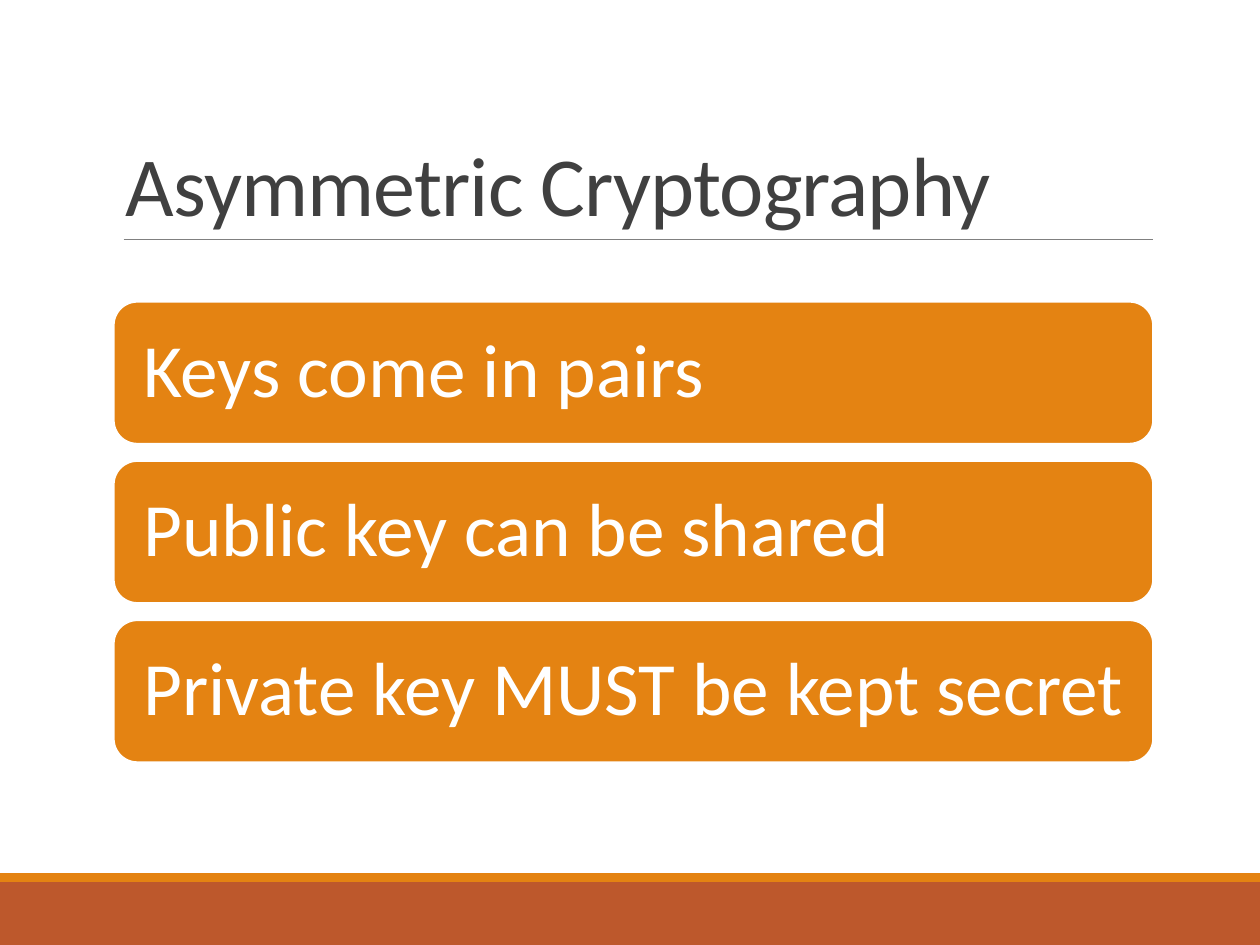
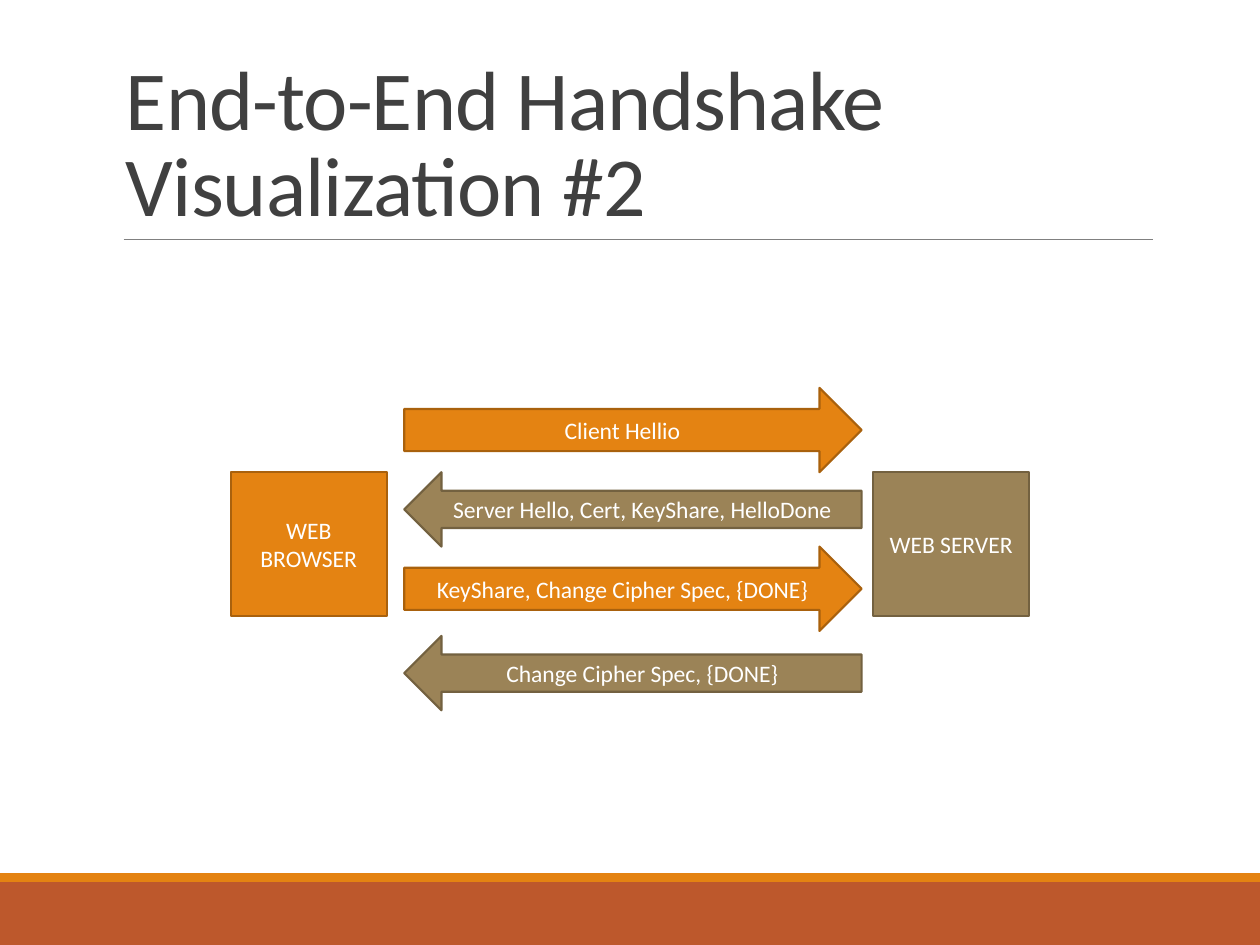
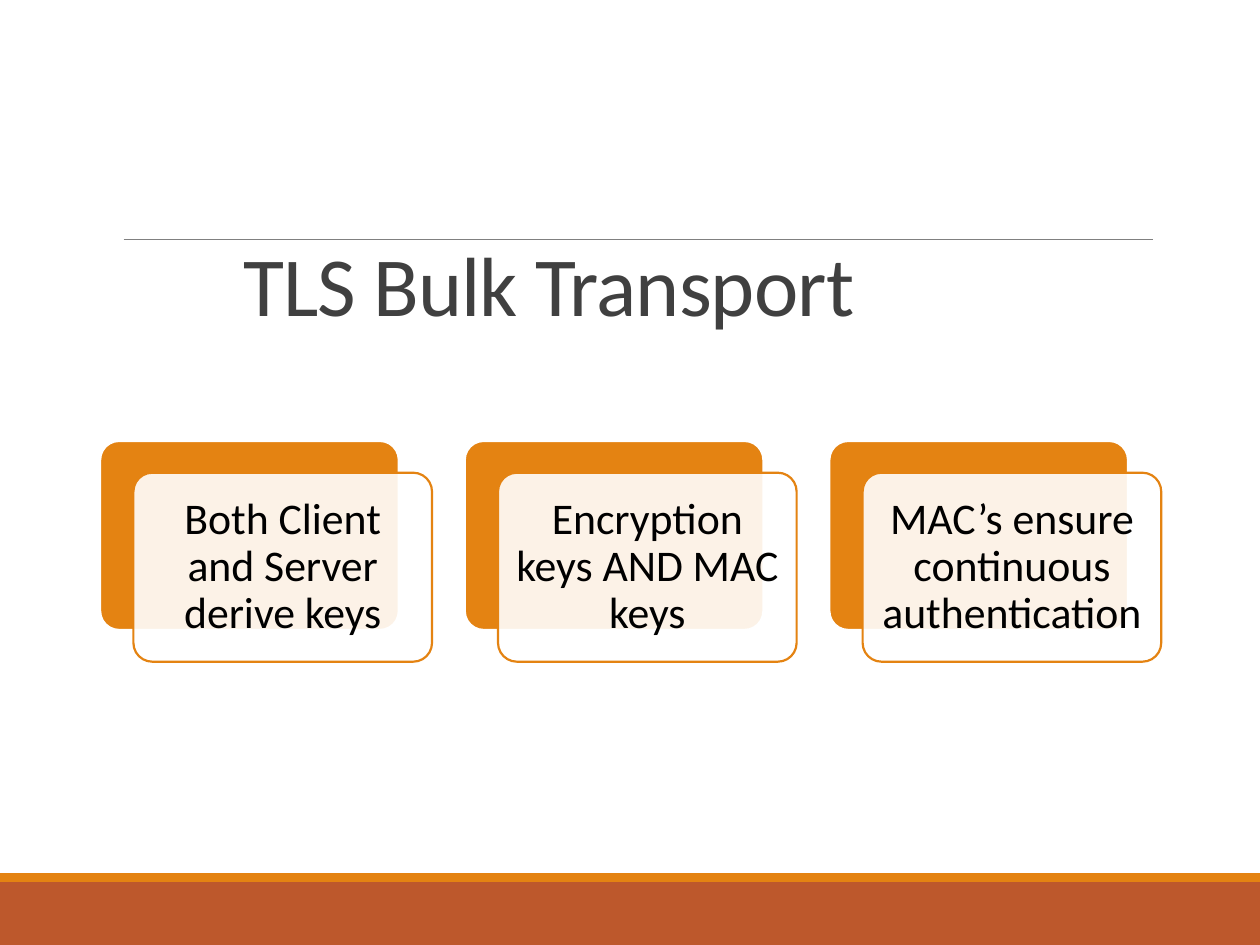
from dataclasses import dataclass

import pptx
import pptx.dml.color
import pptx.enum.shapes
import pptx.enum.text
import pptx.oxml
import pptx.oxml.ns
import pptx.util

Cm = pptx.util.Cm
Pt = pptx.util.Pt
RGBColor = pptx.dml.color.RGBColor
SHAPE = pptx.enum.shapes.MSO_SHAPE
ALIGN = pptx.enum.text.PP_ALIGN
ANCHOR = pptx.enum.text.MSO_ANCHOR

FONT = "Calibri"
ORANGE = RGBColor(0xE4, 0x83, 0x12)
ORANGE_EDGE = RGBColor(0xA9, 0x61, 0x0D)
RUST = RGBColor(0xBD, 0x58, 0x2C)
OLIVE = RGBColor(0x9B, 0x83, 0x57)
OLIVE_EDGE = RGBColor(0x73, 0x61, 0x40)
GREY = RGBColor(0x80, 0x80, 0x80)
CHARCOAL = RGBColor(0x40, 0x40, 0x40)
WHITE = RGBColor(0xFF, 0xFF, 0xFF)
BLACK = RGBColor(0, 0, 0)


@dataclass
class Box:
    """A region of the slide, in centimetres."""
    left: float
    top: float
    width: float
    height: float

    def inner(self, left, top, width, height):
        return Box(self.left + left, self.top + top, width, height)

    def lengths(self):
        return Cm(self.left), Cm(self.top), Cm(self.width), Cm(self.height)


SLIDE = Box(0, 0, 25.4, 19.05)
TITLE = Box(2.29, 0.79, 20.96, 4.04)


# Shared helpers
def add_shape(slide, kind, box, fill, edge=None, corner=None):
    shape = slide.shapes.add_shape(kind, *box.lengths())
    shape.shadow.inherit = False
    shape.fill.solid()
    shape.fill.fore_color.rgb = fill
    if edge is None:
        shape.line.fill.background()
    else:
        shape.line.color.rgb = edge
        shape.line.width = Pt(1.25)
    if corner is not None:
        shape.adjustments[0] = corner
    return shape


def write(shape, text, size, color, align=ALIGN.CENTER, anchor=ANCHOR.MIDDLE,
          spacing=1.0, inset=None):
    frame = shape.text_frame
    frame.word_wrap = True
    frame.vertical_anchor = anchor
    if inset is not None:
        frame.margin_left = frame.margin_right = Cm(inset)
        frame.margin_top = frame.margin_bottom = Cm(inset)
    paragraph = frame.paragraphs[0]
    paragraph.alignment = align
    paragraph.line_spacing = spacing
    run = paragraph.add_run()
    run.text = text
    run.font.name = FONT
    run.font.size = Pt(size)
    run.font.color.rgb = color
    return run


def set_opacity(shape, percent):
    fill = shape._element.spPr.find(pptx.oxml.ns.qn("a:solidFill"))
    fill[0].append(pptx.oxml.parse_xml(
        f'<a:alpha {pptx.oxml.ns.nsdecls("a")} val="{percent * 1000}"/>'))


# Slide frame: footer bands, rule and title
def add_bands(slide, box):
    add_shape(slide, SHAPE.RECTANGLE, box.inner(0, 17.78, box.width, 1.27), RUST)
    add_shape(slide, SHAPE.RECTANGLE, box.inner(0, 17.6, box.width, 0.18), ORANGE)


def add_rule(slide, box):
    left, top, right = Cm(box.left + 2.49), Cm(box.top + 4.83), Cm(box.left + 23.24)
    rule = slide.shapes.add_connector(
        pptx.enum.shapes.MSO_CONNECTOR.STRAIGHT, left, top, right, top)
    rule.line.color.rgb = GREY
    rule.line.width = Pt(0.5)
    rule._element.spPr.append(pptx.oxml.parse_xml(
        f'<a:effectLst {pptx.oxml.ns.nsdecls("a")}/>'))


def add_title(slide, text, box):
    title = slide.shapes.add_textbox(*box.lengths())
    run = write(title, text, 48, CHARCOAL, ALIGN.LEFT, ANCHOR.BOTTOM, 0.85)
    run._r.get_or_add_rPr().set("spc", "-50")


def add_framed_slide(presentation, title, title_box=TITLE):
    slide = presentation.slides.add_slide(presentation.slide_layouts[6])
    add_bands(slide, SLIDE)
    add_rule(slide, SLIDE)
    add_title(slide, title, title_box)
    return slide


# Full-width bars stacked at an equal pitch
def add_bars(slide, box, texts):
    gap = 0.34
    height = (box.height - gap * (len(texts) - 1)) / len(texts)
    for index, text in enumerate(texts):
        bar_box = box.inner(0, index * (height + gap), box.width, height)
        bar = add_shape(slide, SHAPE.ROUNDED_RECTANGLE, bar_box, ORANGE, WHITE)
        write(bar, text, 43, WHITE, ALIGN.LEFT, spacing=0.9, inset=0.46)


# Two peers with messages travelling between them
def add_handshake(slide, box, client, server, messages):
    client_style = (ORANGE, ORANGE_EDGE)
    server_style = (OLIVE, OLIVE_EDGE)
    peer_width = 3.15
    peers = [(client, 0, client_style),
             (server, box.width - peer_width, server_style)]
    for name, left, style in peers:
        peer = add_shape(slide, SHAPE.RECTANGLE,
                         box.inner(left, 1.7, peer_width, 2.9), *style)
        write(peer, name, 13.5, WHITE)

    for text, top, from_client in messages:
        if from_client:
            kind, height, style = SHAPE.RIGHT_ARROW, 1.7, client_style
        else:
            kind, height, style = SHAPE.LEFT_ARROW, 1.5, server_style
        arrow = add_shape(slide, kind, box.inner(3.5, top, 9.22, height), *style)
        write(arrow, text, 13.5, WHITE)


# Cards with an offset backing plate, in equal columns
def add_cards(slide, box, texts):
    shift_x, shift_y, gap = 0.67, 0.64, 0.66
    pitch = (box.width + gap) / len(texts)
    width = pitch - gap - shift_x
    height = box.height - shift_y
    for index, text in enumerate(texts):
        left = index * pitch
        add_shape(slide, SHAPE.ROUNDED_RECTANGLE,
                  box.inner(left, 0, width, height), ORANGE, WHITE, 0.1)
        card = add_shape(slide, SHAPE.ROUNDED_RECTANGLE,
                         box.inner(left + shift_x, shift_y, width, height),
                         WHITE, ORANGE, 0.1)
        set_opacity(card, 90)
        write(card, text, 25, BLACK, spacing=0.9, inset=0.25)


def main():
    presentation = pptx.Presentation()
    presentation.slide_width = Cm(SLIDE.width)
    presentation.slide_height = Cm(SLIDE.height)

    slide = add_framed_slide(presentation, "Asymmetric Cryptography")
    add_bars(slide, Box(2.29, 6.08, 20.96, 9.29), [
        "Keys come in pairs",
        "Public key can be shared",
        "Private key MUST be kept secret",
    ])

    slide = add_framed_slide(presentation, "End-to-End Handshake Visualization #2")
    add_handshake(slide, Box(4.65, 7.82, 16.1, 6.5), "WEB BROWSER", "WEB SERVER", [
        ("Client Hellio", 0, True),
        ("Server Hello, Cert, KeyShare, HelloDone", 1.7, False),
        ("KeyShare, Change Cipher Spec, {DONE}", 3.2, True),
        ("Change Cipher Spec, {DONE}", 5.0, False),
    ])

    slide = add_framed_slide(presentation, "TLS Bulk Transport",
                             Box(4.65, 4.39, 16.1, 2.46))
    add_cards(slide, Box(2.02, 8.89, 21.39, 4.45), [
        "Both Client and Server derive keys",
        "Encryption keys AND MAC keys",
        "MAC’s ensure continuous authentication",
    ])

    presentation.save("out.pptx")


if __name__ == "__main__":
    main()
